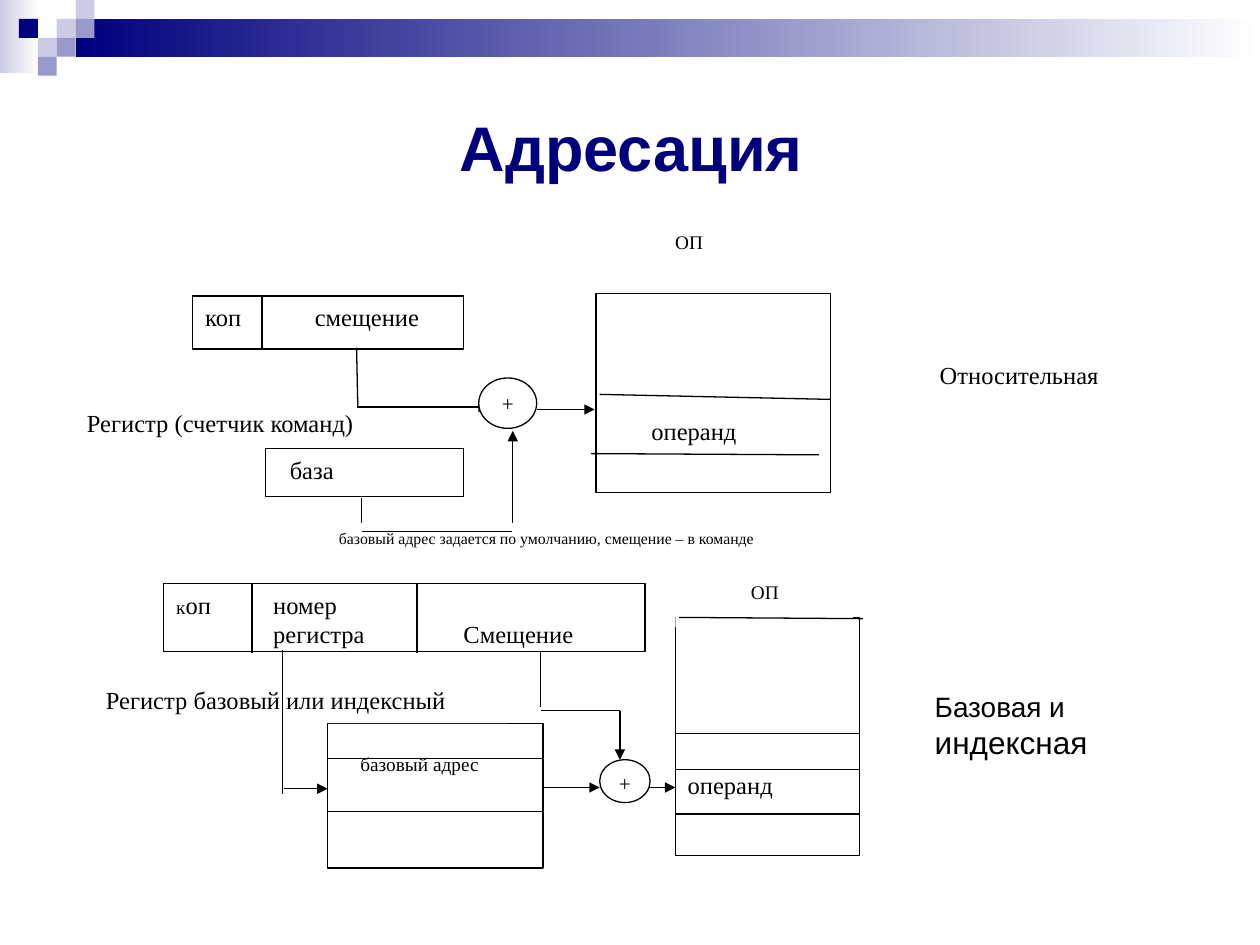
from dataclasses import dataclass
from typing import Optional, Union

from lxml import etree
from pptx import Presentation
from pptx.dml.color import RGBColor
from pptx.enum.shapes import MSO_CONNECTOR, MSO_SHAPE
from pptx.enum.text import MSO_ANCHOR, PP_ALIGN
from pptx.oxml.ns import qn
from pptx.util import Inches, Pt

RECT, OVAL = MSO_SHAPE.RECTANGLE, MSO_SHAPE.OVAL
LEFT, CENTER = PP_ALIGN.LEFT, PP_ALIGN.CENTER
TOP, MIDDLE = MSO_ANCHOR.TOP, MSO_ANCHOR.MIDDLE
STRAIGHT = MSO_CONNECTOR.STRAIGHT
SERIF, SANS = "Times New Roman", "Arial"
NAVY, LILAC, VIOLET = "00007D", "CCCCE6", "9999CC"
WHITE, BLACK = "FFFFFF", "000000"
LINE_WIDTH = Pt(0.75)


@dataclass(frozen=True)
class Run:
    text: str
    size: float


@dataclass(frozen=True)
class Box:
    left: float
    top: float
    width: float
    height: float
    lines: tuple[Union[str, tuple[Run, ...]], ...] = ()
    size: float = 14
    align: PP_ALIGN = LEFT
    indent: float = 0.1
    inset_top: float = 0.05
    tabs: tuple[float, ...] = ()
    border: bool = True
    shape: MSO_SHAPE = RECT
    font: str = SERIF
    filled: bool = True


@dataclass(frozen=True)
class Line:
    x1: float
    y1: float
    x2: float
    y2: float
    arrow: bool = False


def rgb(color: str) -> RGBColor:
    return RGBColor.from_string(color)


def write_lines(frame, box: Box) -> None:
    frame.word_wrap = True
    frame.vertical_anchor = TOP
    frame.margin_left = Inches(box.indent)
    frame.margin_right = Inches(min(box.indent, 0.1))
    frame.margin_top = Inches(box.inset_top)
    frame.margin_bottom = Inches(min(box.inset_top, 0.05))
    for index, line in enumerate(box.lines):
        paragraph = frame.paragraphs[0] if index == 0 else frame.add_paragraph()
        paragraph.alignment = box.align
        if box.tabs:
            tab_list = etree.SubElement(paragraph._p.get_or_add_pPr(), qn("a:tabLst"))
            for position in box.tabs:
                etree.SubElement(tab_list, qn("a:tab"), pos=str(Inches(position)), algn="l")
        paragraph.font.name = box.font
        paragraph.font.color.rgb = rgb(BLACK)
        if isinstance(line, str):
            paragraph.font.size = Pt(box.size)
            paragraph.add_run().text = line
            continue
        for part in line:
            run = paragraph.add_run()
            run.text = part.text
            run.font.size = Pt(part.size)


def draw_box(slide, box: Box) -> None:
    place = [Inches(v) for v in (box.left, box.top, box.width, box.height)]
    if not box.filled:
        write_lines(slide.shapes.add_textbox(*place).text_frame, box)
        return
    shape = slide.shapes.add_shape(box.shape, *place)
    shape.shadow.inherit = False
    shape.fill.solid()
    shape.fill.fore_color.rgb = rgb(WHITE)
    if box.border:
        shape.line.color.rgb = rgb(BLACK)
        shape.line.width = LINE_WIDTH
    else:
        shape.line.fill.background()
    if box.lines:
        write_lines(shape.text_frame, box)


def draw_line(slide, line: Line) -> None:
    ends = [Inches(v) for v in (line.x1, line.y1, line.x2, line.y2)]
    connector = slide.shapes.add_connector(STRAIGHT, *ends)
    connector.line.color.rgb = rgb(BLACK)
    connector.line.width = LINE_WIDTH
    if line.arrow:
        etree.SubElement(connector.line._get_or_add_ln(), qn("a:tailEnd"), type="triangle")
    etree.SubElement(connector._element.spPr, qn("a:effectLst"))


def draw_band(slide, left: float, top: float, width: float, height: float,
              color: str, fade: bool = False) -> None:
    band = slide.shapes.add_shape(RECT, *[Inches(v) for v in (left, top, width, height)])
    band.shadow.inherit = False
    band.line.fill.background()
    if fade:
        band.fill.gradient()
        band.fill.gradient_angle = 0
        for stop, stop_color, position in zip(band.fill.gradient_stops, (color, WHITE), (0, 1)):
            stop.color.rgb = rgb(stop_color)
            stop.position = position
    else:
        band.fill.solid()
        band.fill.fore_color.rgb = rgb(color)


def label(left: float, top: float, width: float, height: float, text: str, **style) -> Box:
    return Box(left, top, width, height, (text,), border=False, **style)


def adder(left: float, top: float, width: float, height: float) -> tuple[Box, Box]:
    """Circle with a plus sign in its middle half."""
    return (Box(left, top, width, height, shape=OVAL),
            label(left + width / 4, top + height / 4, width / 2, height / 2, "+",
                  size=12, align=CENTER, indent=0, inset_top=0))


# Diagram parts, from back to front
RELATIVE = (
    label(7.36, 2.81, 2.05, 0.34, "Относительная", filled=False),
    label(4.69, 1.78, 1.56, 0.32, "ОП", size=11, align=CENTER),
    Box(1.53, 2.35, 2.15, 0.42, ("коп\tсмещение",), tabs=(0.87,)),
    Line(2.08, 2.35, 2.08, 2.78),
    Box(4.73, 2.33, 1.86, 1.58, ("операнд",), indent=0.44, inset_top=0.97),
    Box(2.11, 3.56, 1.57, 0.38, ("база",), indent=0.19),
    label(0.39, 3.19, 3.07, 0.32, "Регистр (счетчик команд)", indent=0.3),
    Line(2.83, 2.76, 2.84, 3.23),
    Line(2.83, 3.23, 3.88, 3.23, arrow=True),
    Line(4.26, 3.25, 4.72, 3.25, arrow=True),
    Line(2.87, 3.95, 2.87, 4.19),
    Line(4.07, 4.19, 4.07, 3.42, arrow=True),
    Line(4.76, 3.13, 6.59, 3.17),
    Line(4.69, 3.6, 6.5, 3.61),
    label(1.75, 4.15, 5.14, 0.35, "базовый адрес задается по умолчанию, смещение – в команде",
          size=9, align=CENTER, indent=0.13),
    *adder(3.8, 3, 0.46, 0.4),
    Line(2.87, 4.22, 4.06, 4.22),
)
INDEXED = (
    Box(1.3, 4.63, 3.82, 0.54,
        ((Run("к", 11), Run("оп\tномер", 14)), "\tрегистра\tСмещение"), tabs=(0.77, 2.28)),
    *(Line(x, 4.63, x, 5.18) for x in (2, 3.31)),
    Box(2.6, 5.74, 1.71, 1.15, ("базовый адрес",), size=11, indent=0.26, inset_top=0.23),
    *(Line(2.6, y, 4.31, y) for y in (6.02, 6.44)),
    label(0.55, 5.39, 3.48, 0.35, "Регистр базовый или индексный", indent=0.29),
    Box(5.36, 4.9, 1.46, 1.89, ("операнд",), inset_top=1.21),
    Line(2.24, 5.16, 2.24, 6.3),
    Line(2.25, 6.26, 2.6, 6.26, arrow=True),
    Line(4.31, 6.25, 4.76, 6.25, arrow=True),
    Line(4.29, 5.17, 4.29, 5.61),
    Line(5.11, 6.25, 5.36, 6.25, arrow=True),
    *(Line(5.36, y, 6.82, y) for y in (5.82, 6.11, 6.46)),
    Box(5.36, 4.63, 1.41, 0.35, border=False),
    label(5.29, 4.56, 1.56, 0.31, "ОП", size=11, align=CENTER),
    *adder(4.76, 6.03, 0.4, 0.34),
    Line(5.39, 4.9, 6.85, 4.91),
    Line(4.29, 5.64, 4.92, 5.64),
    Line(4.92, 5.64, 4.92, 6.03, arrow=True),
    Box(7.32, 5.42, 2.05, 0.67, ((Run("Базовая и ", 16), Run("индексная", 18)),),
        font=SANS, filled=False),
)

# Column, row and colour of the corner squares
SQUARE = 0.15
MOSAIC = ((3, 1, LILAC), (4, 0, LILAC), (4, 1, VIOLET), (2, 2, LILAC),
          (1, 1, NAVY), (3, 2, VIOLET), (2, 3, VIOLET))


def main() -> None:
    deck = Presentation()
    deck.slide_width, deck.slide_height = Inches(10), Inches(7.5)
    slide = deck.slides.add_slide(deck.slide_layouts[5])

    # Header decoration
    draw_band(slide, 0, 0, 0.31, 0.58, LILAC, fade=True)
    draw_band(slide, 0.6, 0.15, 9.4, 0.3, NAVY, fade=True)
    for column, row, color in MOSAIC:
        draw_band(slide, column * SQUARE, row * SQUARE, SQUARE, SQUARE, color)

    # Title
    title = slide.shapes.title
    title.left, title.top, title.width, title.height = map(Inches, (0.51, 0.68, 9, 0.97))
    title.text_frame.text = "Адресация"
    title.text_frame.vertical_anchor = MIDDLE
    heading = title.text_frame.paragraphs[0]
    heading.alignment = CENTER
    heading.font.name, heading.font.size, heading.font.bold = SANS, Pt(36), True
    heading.font.color.rgb = rgb(NAVY)

    # Addressing diagrams
    for part in RELATIVE + INDEXED:
        if isinstance(part, Box):
            draw_box(slide, part)
        else:
            draw_line(slide, part)

    deck.save("out.pptx")


if __name__ == "__main__":
    main()
